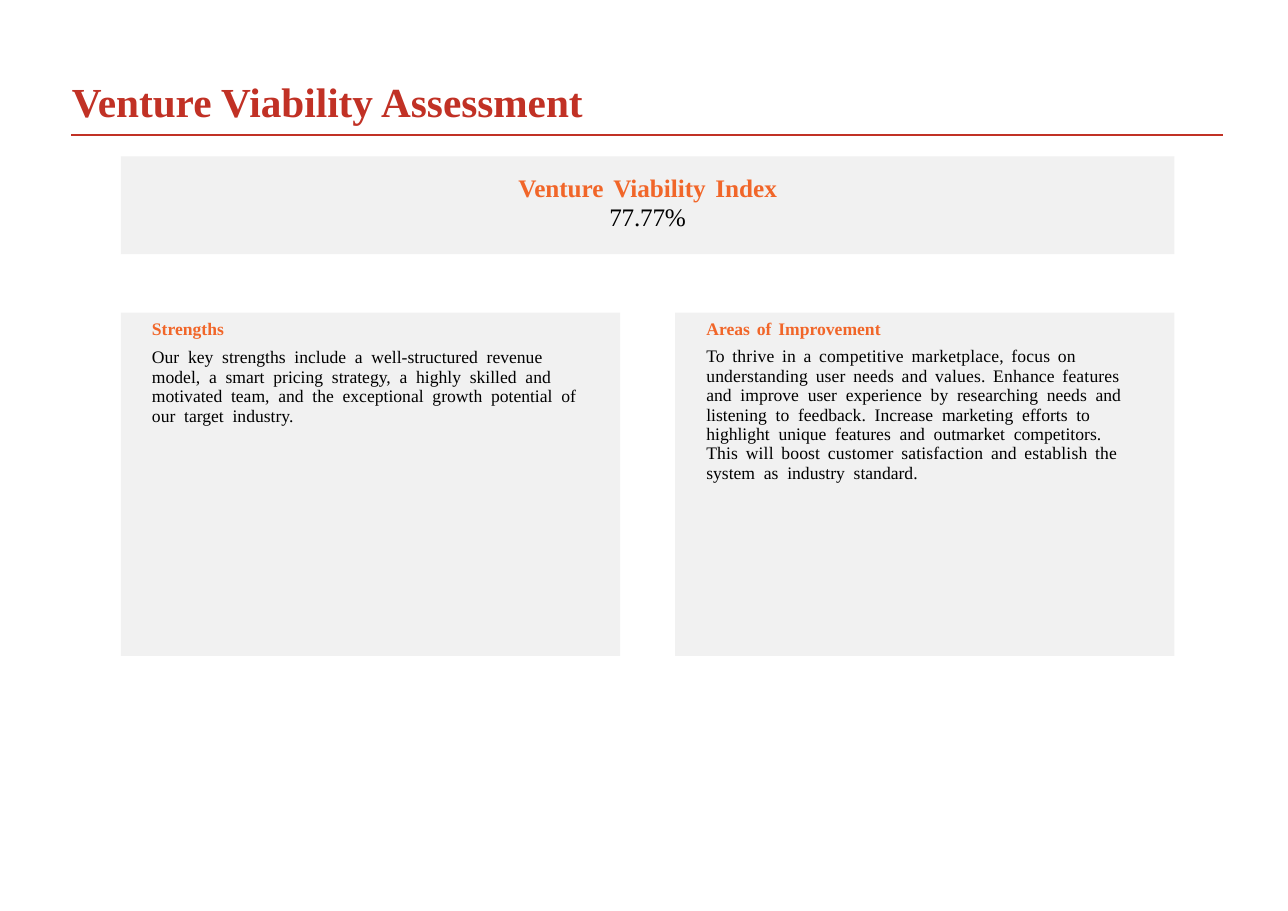
import pptx
import pptx.dml.color
import pptx.enum.shapes
import pptx.enum.text
import pptx.util
from pptx.util import Cm

FONT = "Times New Roman"
RED, ORANGE, BLACK, GREY = "C13125", "F16629", "000000", "F1F1F1"
LEFT, PANEL_WIDTH, PANEL_STEP = 2.79, 11.53, 12.8


def rgb(value):
    return pptx.dml.color.RGBColor.from_string(value)


def set_frame(s, insets):
    tf = s.text_frame
    left, top, right = insets
    frame_format = {
        "word_wrap": True,
        "vertical_anchor": pptx.enum.text.MSO_ANCHOR.TOP,
        "margin_left": Cm(left),
        "margin_top": Cm(top),
        "margin_right": Cm(right),
        "margin_bottom": Cm(0),
    }
    for name, value in frame_format.items():
        setattr(tf, name, value)
    return tf


def add_run(p, text, size, color, bold, spacing):
    r = p.add_run()
    r.text = text
    for name, value in {"name": FONT, "size": pptx.util.Pt(size), "bold": bold}.items():
        setattr(r.font, name, value)
    r.font.color.rgb = rgb(color)
    if spacing:
        r.font._element.set("spc", str(round(spacing * 100)))


def write_paragraph(p, phrases, size, color, bold=False, **layout):
    layout.setdefault("alignment", pptx.enum.text.PP_ALIGN.LEFT)
    for name, value in layout.items():
        setattr(p, name, value)
    for text, tracking, word_gap in phrases:
        for i, word in enumerate(text.split(" ")):
            if i:
                add_run(p, " ", size, color, bold, word_gap)
            if word:
                add_run(p, word, size, color, bold, tracking)


def add_title(slide, text):
    s = slide.shapes.add_textbox(Cm(1.63), Cm(1.68), Cm(14), Cm(1.22))
    tf = set_frame(s, (0.03, 0.08, 0))
    write_paragraph(tf.paragraphs[0], [(text, 0, 0)], 27, RED, True)


def add_rule(slide):
    line = slide.shapes.add_connector(
        pptx.enum.shapes.MSO_CONNECTOR.STRAIGHT, Cm(1.65), Cm(3.12), Cm(28.24), Cm(3.12))
    line.line.color.rgb = rgb(RED)
    line.line.width = pptx.util.Pt(1.5)
    pptx.oxml.ns.qn("a:effectLst")
    line._element.spPr.append(pptx.oxml.xmlchemy.OxmlElement("a:effectLst"))


def add_box(slide, left, top, width, height, insets):
    s = slide.shapes.add_shape(
        pptx.enum.shapes.MSO_SHAPE.RECTANGLE, Cm(left), Cm(top), Cm(width), Cm(height))
    s.shadow.inherit = False
    s.fill.solid()
    s.fill.fore_color.rgb = rgb(GREY)
    s.line.fill.background()
    return set_frame(s, insets)


def add_index(slide, label, value):
    tf = add_box(slide, LEFT, 3.61, PANEL_STEP + PANEL_WIDTH, 2.26, (0, 0.41, 0))
    layout = {
        "alignment": pptx.enum.text.PP_ALIGN.CENTER,
        "line_spacing": pptx.util.Pt(18.9),
    }
    write_paragraph(tf.paragraphs[0], [(label, 0, 2.2)], 16.5, ORANGE, True, **layout)
    write_paragraph(tf.add_paragraph(), [(value, -0.1, 0)], 16.5, BLACK, **layout)


def add_panel(slide, column, heading, phrases, right_inset, line_spacing, space_before):
    tf = add_box(slide, LEFT + column * PANEL_STEP, 7.22, PANEL_WIDTH, 7.92,
                 (0.72, 0.13, right_inset))
    write_paragraph(tf.paragraphs[0], [(heading, 0, 1.6)], 11.5, ORANGE, True)
    write_paragraph(tf.add_paragraph(), phrases, 11.5, BLACK,
                    line_spacing=line_spacing, space_before=pptx.util.Pt(space_before))


def main():
    prs = pptx.Presentation()
    prs.slide_width, prs.slide_height = Cm(29.74), Cm(21.03)
    slide = prs.slides.add_slide(prs.slide_layouts[6])

    add_rule(slide)
    add_title(slide, "Venture Viability Assessment")
    add_index(slide, "Venture Viability Index", "77.77%")

    strengths = [
        ("Our key strengths include a well-structured revenue model, a smart pricing "
         "strategy, a highly skilled and motivated team, and the exceptional growth "
         "potential of our target industry.", 0, 2.8),
    ]
    improvements = [
        ("To thrive in a competitive marketplace, focus on understanding user needs "
         "and values. Enhance features ", 0.1, 2),
        ("and improve user experience by researching needs and listening to feedback. "
         "Increase marketing efforts to highlight unique features and outmarket "
         "competitors. ", 0, 2.8),
        ("This will boost customer satisfaction and establish the ", 0.1, 2),
        ("system as industry standard.", 0, 2.8),
    ]
    add_panel(slide, 0, "Strengths", strengths, 0.8, pptx.util.Pt(12.8), 5.4)
    add_panel(slide, 1, "Areas of Improvement", improvements, 1, 0.92, 5.2)

    prs.save("out.pptx")


if __name__ == "__main__":
    main()
